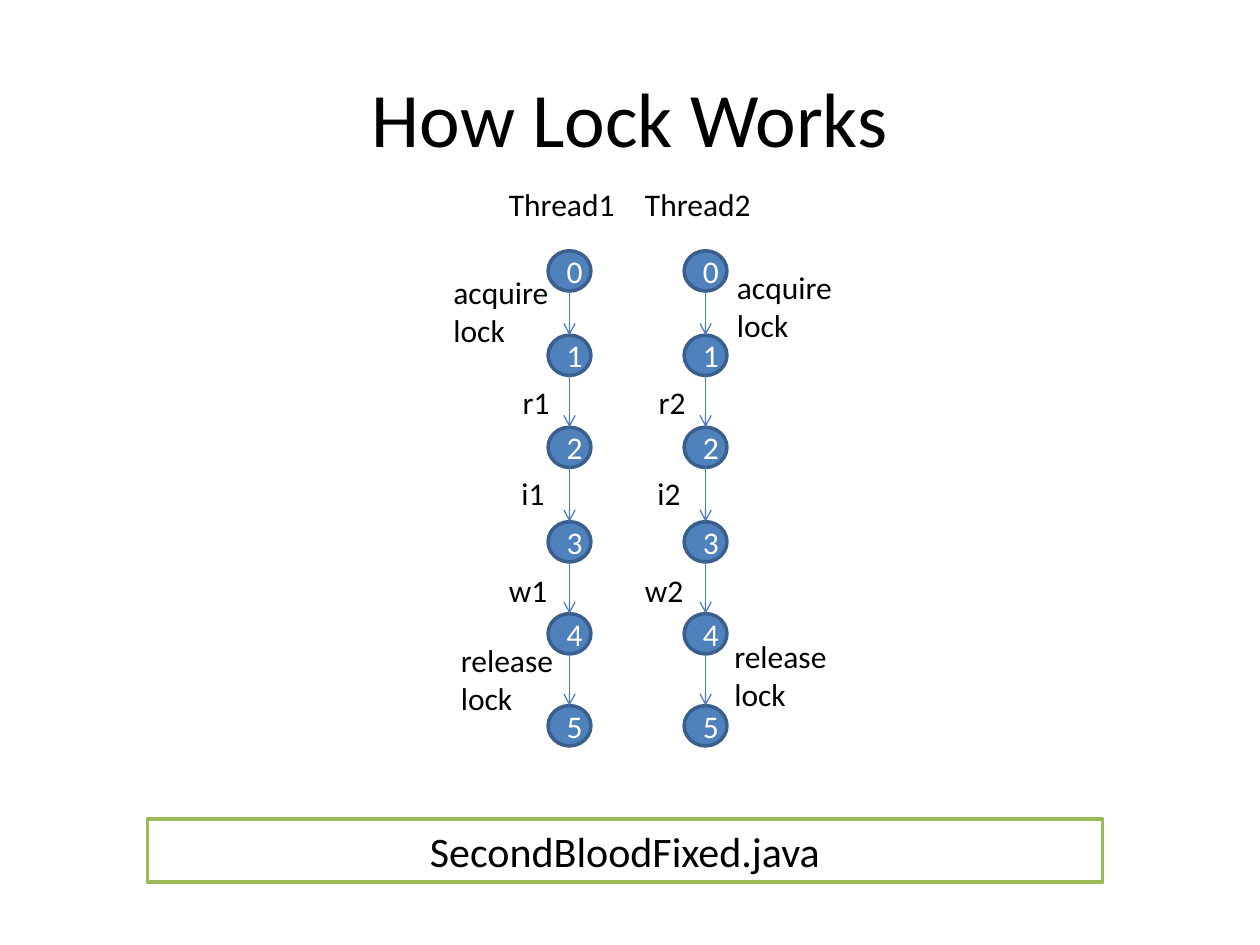
from pptx import Presentation
from pptx.dml.color import RGBColor
from pptx.enum.shapes import MSO_CONNECTOR, MSO_SHAPE
from pptx.enum.text import MSO_ANCHOR, MSO_AUTO_SIZE, PP_ALIGN
from pptx.oxml.ns import qn
from pptx.util import Inches, Pt
from lxml import etree

BLACK = RGBColor(0x00, 0x00, 0x00)
WHITE = RGBColor(0xFF, 0xFF, 0xFF)
BLUE = RGBColor(0x4F, 0x81, 0xBD)
NAVY = RGBColor(0x3A, 0x5F, 0x8C)
STEEL = RGBColor(0x4B, 0x7E, 0xBC)
GREEN = RGBColor(0x9B, 0xBB, 0x59)

RECT, OVAL = MSO_SHAPE.RECTANGLE, MSO_SHAPE.OVAL
STRAIGHT = MSO_CONNECTOR.STRAIGHT
TOP, MIDDLE = MSO_ANCHOR.TOP, MSO_ANCHOR.MIDDLE
LEFT, CENTER = PP_ALIGN.LEFT, PP_ALIGN.CENTER
GROW = MSO_AUTO_SIZE.SHAPE_TO_FIT_TEXT

NODE_W, NODE_H = 0.34, 0.32
NODE_TOPS = [1.99, 2.66, 3.39, 4.14, 4.87, 5.6]

# Thread number, left of its nodes, places of its two lock labels
THREADS = [
    (1, 4.35, (3.5, 2.12), (3.56, 5.04)),
    (2, 5.43, (5.75, 2.08), (5.73, 5.01)),
]
# Step letter, offset from the nodes' left, top, width
STEPS = [("r", -0.3, 2.99, 0.47), ("i", -0.31, 3.71, 0.47),
         ("w", -0.41, 4.48, 0.58)]


def write(frame, text, size=18, color=BLACK, align=LEFT, anchor=TOP):
    frame.vertical_anchor = anchor
    para = frame.paragraphs[0]
    para.alignment = align
    run = para.add_run()
    run.text = text
    run.font.name = "Calibri"
    run.font.size = Pt(size)
    run.font.color.rgb = color


def add_label(slide, text, x, y, w, h=0.4, wrap=True):
    box = slide.shapes.add_textbox(Inches(x), Inches(y), Inches(w), Inches(h))
    box.text_frame.word_wrap = wrap
    box.text_frame.auto_size = GROW
    write(box.text_frame, text)


def add_box(slide, kind, x, y, w, h, fill, line):
    box = slide.shapes.add_shape(kind, Inches(x), Inches(y),
                                 Inches(w), Inches(h))
    box.shadow.inherit = False
    box.fill.solid()
    box.fill.fore_color.rgb = fill
    box.line.color.rgb = line
    box.line.width = Pt(2)
    return box


def add_arrow(slide, x, top, end):
    arrow = slide.shapes.add_connector(STRAIGHT, Inches(x), Inches(top),
                                       Inches(x), Inches(end))
    arrow.line.color.rgb = STEEL
    arrow.line.width = Pt(0.75)
    etree.SubElement(arrow.line._get_or_add_ln(), qn("a:tailEnd"),
                     type="arrow")
    etree.SubElement(arrow._element.spPr, qn("a:effectLst"))


def add_thread(slide, num, left, acquire, release):
    add_label(slide, f"Thread{num}", left - 0.41, 1.42, 1.05, wrap=False)

    # States and the arrows between them
    for state, top in enumerate(NODE_TOPS):
        node = add_box(slide, OVAL, left, top, NODE_W, NODE_H, BLUE, NAVY)
        write(node.text_frame, str(state), color=WHITE, align=CENTER,
              anchor=MIDDLE)
    for top, end in zip(NODE_TOPS, NODE_TOPS[1:]):
        add_arrow(slide, left + NODE_W / 2, top + NODE_H, end)

    # Step labels
    add_label(slide, "acquire lock", *acquire, 1.08, 0.71)
    for letter, shift, top, width in STEPS:
        add_label(slide, f"{letter}{num}", left + shift, top, width)
    add_label(slide, "release lock", *release, 1.27, 0.71)


def add_title(slide, text):
    title = slide.shapes.title
    title.left, title.top = Inches(0.5), Inches(0.3)
    title.width, title.height = Inches(9), Inches(1.25)
    write(title.text_frame, text, 44, align=CENTER, anchor=MIDDLE)


def add_file(slide, name):
    box = add_box(slide, RECT, 1.17, 6.5, 7.58, 0.5, WHITE, GREEN)
    box.text_frame.auto_size = GROW
    write(box.text_frame, name, 24, align=CENTER)


def main():
    deck = Presentation()
    deck.slide_width, deck.slide_height = Inches(10), Inches(7.5)
    slide = deck.slides.add_slide(deck.slide_layouts[5])
    add_title(slide, "How Lock Works")
    add_file(slide, "SecondBloodFixed.java")
    for thread in THREADS:
        add_thread(slide, *thread)
    deck.save("out.pptx")


if __name__ == "__main__":
    main()
